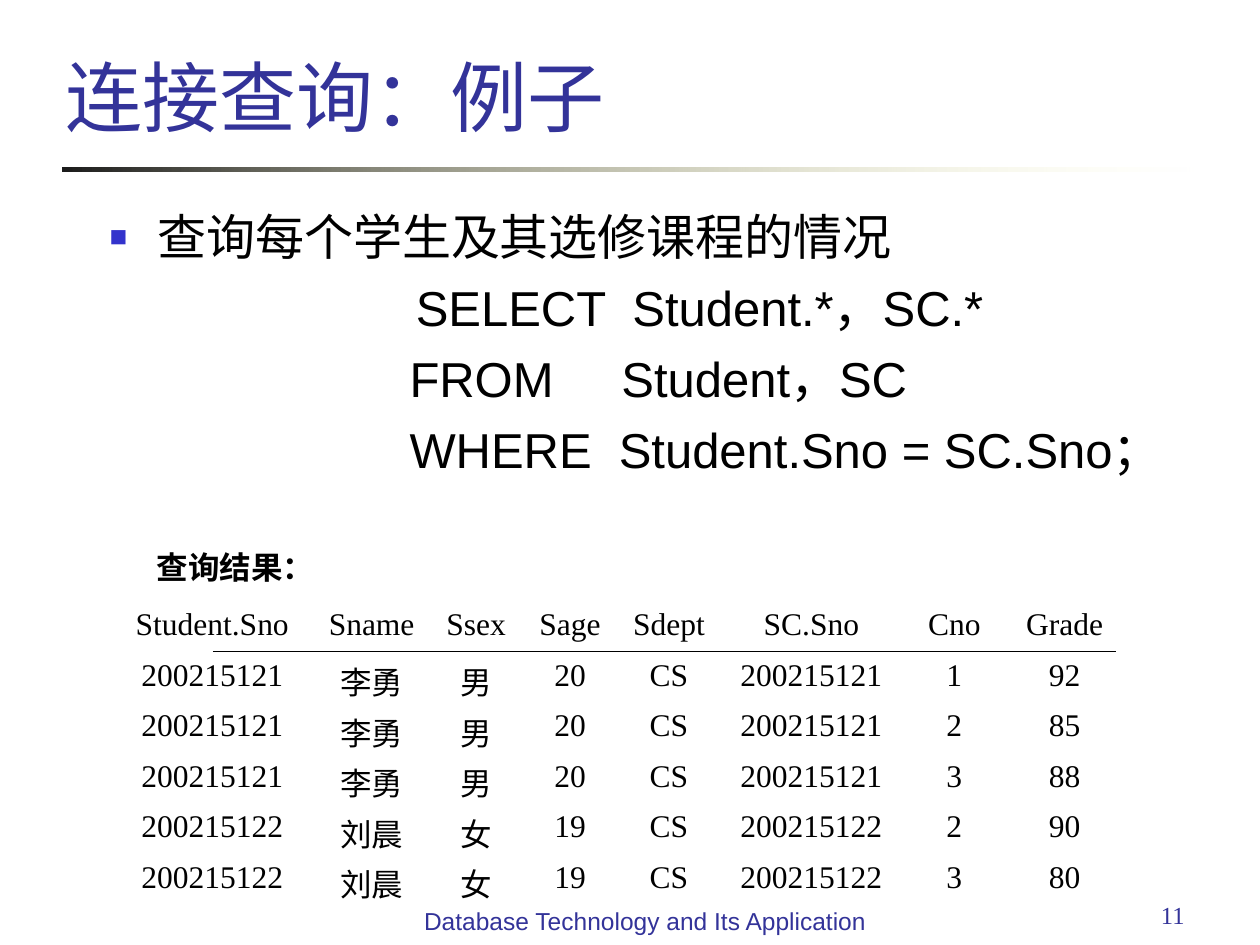
"""Build the join query example slide with its SQL and result table."""
from lxml import etree
from pptx import Presentation
from pptx import util as u
from pptx.dml.color import RGBColor
from pptx.enum import shapes, text
from pptx.oxml.ns import qn

TITLE = "连接查询：例子"
TASK = "查询每个学生及其选修课程的情况"
SQL = [
    ("SELECT  Student.*，SC.*", 2.43),
    ("FROM     Student，SC", 2.38),
    ("WHERE  Student.Sno = SC.Sno；", 2.38),
]
RESULT_LABEL = "查询结果："
FOOTER = "Database Technology and Its Application"
PAGE = "11"
COLUMNS = [("Student.Sno", 1.57), ("Sname", 0.96), ("Ssex", 0.7), ("Sage", 0.79),
           ("Sdept", 0.78), ("SC.Sno", 1.48), ("Cno", 0.79), ("Grade", 0.96)]
STUDENTS = {
    "200215121": ("李勇", "男", "20", "CS"),
    "200215122": ("刘晨", "女", "19", "CS"),
}
GRADES = [("200215121", "1", "92"), ("200215121", "2", "85"), ("200215121", "3", "88"),
          ("200215122", "2", "90"), ("200215122", "3", "80")]
THEME = {
    "sans": "Arial", "serif": "Times New Roman",
    "accent": "333399", "ink": "000000", "bullet": "3333CC",
    "rule": ("1C1C1C", "FFFFB7"),
    "title": 44, "body": 28, "table": 18, "footer": 14,
}
ALIGN = text.PP_ALIGN


def rgb(color):
    return RGBColor.from_string(THEME.get(color, color))


def style(paragraph, size, face, color, align=ALIGN.LEFT, bold=False):
    paragraph.alignment = align
    for run in paragraph.runs:
        run.font.size = u.Pt(THEME[size])
        run.font.name = THEME[face]
        run.font.bold = bold
        run.font.color.rgb = rgb(color)


def place(shape, left, top, width, height):
    shape.left, shape.top = u.Inches(left), u.Inches(top)
    shape.width, shape.height = u.Inches(width), u.Inches(height)


def add_label(slide, words, box, wrap=True, **look):
    label = slide.shapes.add_textbox(*map(u.Inches, box))
    label.text_frame.word_wrap = wrap
    label.text_frame.text = words
    style(label.text_frame.paragraphs[0], **look)


def add_rule(slide):
    rule = slide.shapes.add_shape(shapes.MSO_SHAPE.RECTANGLE,
                                  *map(u.Inches, (0.5, 1.33, 9, 0.03)))
    rule.shadow.inherit = False
    rule.line.fill.background()
    rule.fill.gradient()
    rule.fill.gradient_angle = 0
    for stop, color in zip(rule.fill.gradient_stops, THEME["rule"]):
        stop.color.rgb = rgb(color)
    faded = rule.fill._fill._gradFill.findall(".//" + qn("a:srgbClr"))[-1]
    etree.SubElement(faded, qn("a:alpha"), val="0")


def indent(paragraph, left, hanging, bullet=False):
    props = paragraph._p.get_or_add_pPr()
    props.set("marL", str(u.Inches(left)))
    props.set("indent", str(-u.Inches(hanging)))
    if bullet:
        tint = etree.SubElement(props, qn("a:buClr"))
        etree.SubElement(tint, qn("a:srgbClr"), val=THEME["bullet"])
        etree.SubElement(props, qn("a:buSzPct"), val="60000")
        etree.SubElement(props, qn("a:buChar"), char="■")
    else:
        etree.SubElement(props, qn("a:buNone"))


def fill_placeholders(slide):
    title, body = slide.placeholders
    place(title, 0.42, 0, 8.78, 1.18)
    title.text_frame.text = TITLE
    title.text_frame.vertical_anchor = text.MSO_ANCHOR.BOTTOM
    style(title.text_frame.paragraphs[0], "title", "sans", "accent")

    place(body, 0.77, 1.59, 8.85, 2.52)
    frame = body.text_frame
    frame.auto_size = text.MSO_AUTO_SIZE.NONE
    frame.text = "\n".join([TASK] + [line for line, _ in SQL])
    task, *code = frame.paragraphs
    indent(task, 0.38, 0.38, bullet=True)
    for line, (_, left) in zip(code, SQL):
        indent(line, left, 0)
    for line in frame.paragraphs:
        line.space_before = u.Pt(0 if line is task else 7)
        style(line, "body", "sans", "ink")


def add_results(slide):
    header = [name for name, _ in COLUMNS]
    rows = [header] + [[sno, *STUDENTS[sno], sno, cno, grade] for sno, cno, grade in GRADES]
    results = slide.shapes.add_table(len(rows), len(header),
                                     *map(u.Inches, (0.9, 4.77, 8.03, 2.41))).table
    results.first_row = results.horz_banding = False
    for column, (_, width) in zip(results.columns, COLUMNS):
        column.width = u.Inches(width)
    for row, values in zip(results.rows, rows):
        for cell, value in zip(row.cells, values):
            cell.text = value
            cell.fill.background()
            style(cell.text_frame.paragraphs[0], "table", "serif", "ink", ALIGN.CENTER)

    underline = slide.shapes.add_connector(shapes.MSO_CONNECTOR.STRAIGHT,
                                           *map(u.Inches, (1.69, 5.17, 8.86, 5.17)))
    underline.line.color.rgb = rgb("ink")
    underline.line.width = u.Pt(0.75)
    etree.SubElement(underline._element.spPr, qn("a:effectLst"))


def main():
    deck = Presentation()
    deck.slide_width, deck.slide_height = u.Inches(10), u.Inches(7.5)
    slide = deck.slides.add_slide(deck.slide_layouts[1])
    add_rule(slide)
    add_label(slide, PAGE, (7.17, 7.09, 2.33, 0.52),
              size="footer", face="serif", color="accent", align=ALIGN.RIGHT)
    add_label(slide, FOOTER, (3.19, 7.14, 3.86, 0.52),
              size="footer", face="sans", color="accent", align=ALIGN.CENTER)
    fill_placeholders(slide)
    add_label(slide, RESULT_LABEL, (0.77, 4.3, 2.2, 0.4), wrap=False,
              size="table", face="serif", color="ink", align=ALIGN.CENTER, bold=True)
    add_results(slide)
    deck.save("out.pptx")


if __name__ == "__main__":
    main()
